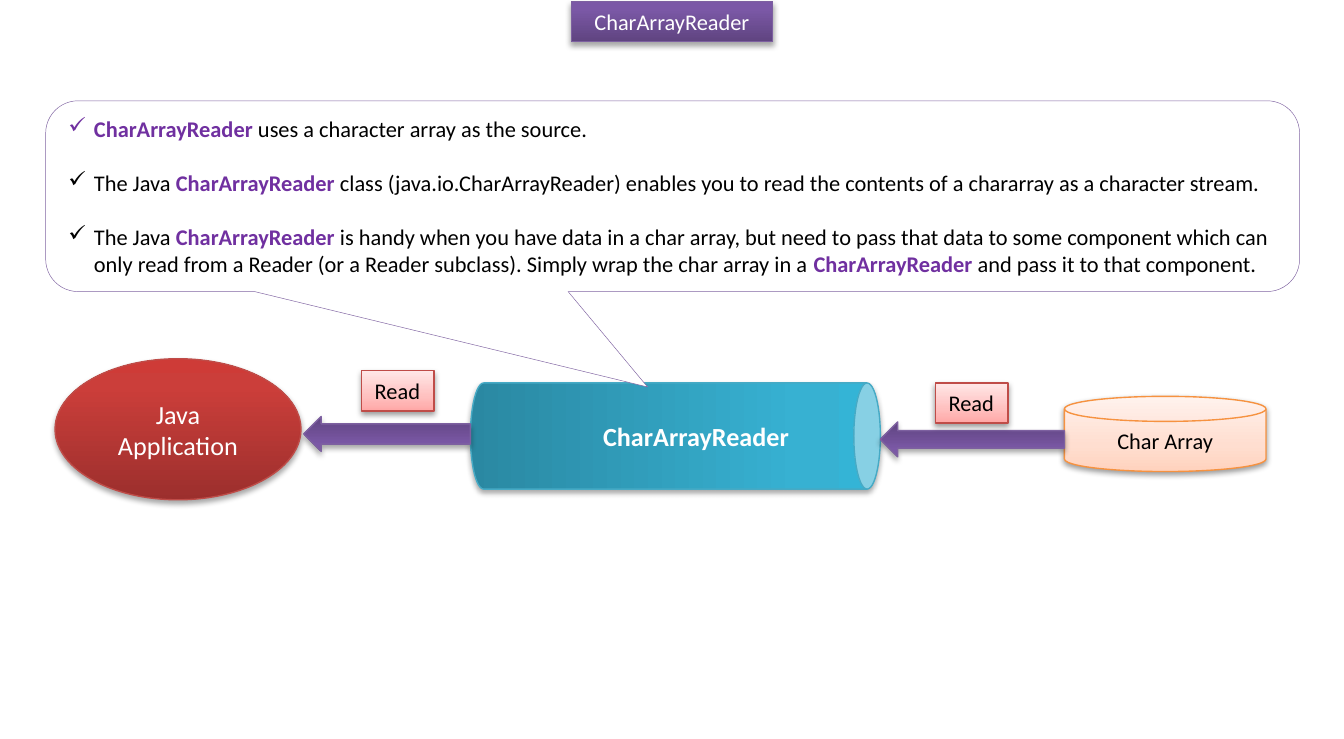
import pptx
import pptx.dml.color
import pptx.enum.shapes
import pptx.enum.text
import pptx.oxml.ns
import pptx.util
from lxml import etree

Inches = pptx.util.Inches
Pt = pptx.util.Pt
qn = pptx.oxml.ns.qn
SHAPE = pptx.enum.shapes.MSO_SHAPE
ALIGN = pptx.enum.text.PP_ALIGN
ANCHOR = pptx.enum.text.MSO_ANCHOR

# Looks: gradient stops (percent, colour), line colour, shadow opacity and distance
DEEP_SHADOW = {"opacity": 35, "distance": 1.8}
SOFT_SHADOW = {"opacity": 38, "distance": 1.6}
PURPLE = {"stops": [(0, "5F4480"), (80, "7B58A6"), (100, "7C57A8")],
          "line": "7D60A0", "shadow": DEEP_SHADOW}
RED = {"stops": [(0, "9C2F2D"), (80, "CB3E3A"), (100, "CE3B37")],
       "line": "BF4C48", "shadow": DEEP_SHADOW}
TEAL = {"stops": [(0, "2A88A2"), (80, "37B1D2"), (100, "34B4D6")],
        "line": "46AAC5", "shadow": DEEP_SHADOW}
ORANGE = {"stops": [(0, "FFD2BD"), (35, "FFDED0"), (100, "FFF2ED")],
          "line": "F69240", "shadow": SOFT_SHADOW}
PINK = {"stops": [(0, "FFA6A5"), (35, "FFC0BF"), (100, "FFE7E7")],
        "line": "BF4C48", "shadow": SOFT_SHADOW}

# Asterisk pairs mark the highlighted class name
NOTES = [
    "**CharArrayReader** uses a character array as the source.",
    "The Java **CharArrayReader** class (java.io.CharArrayReader) enables you to read "
    "the contents of a chararray as a character stream.",
    "The Java **CharArrayReader** is handy when you have data in a char array, but need "
    "to pass that data to some component which can only read from a Reader (or a Reader "
    "subclass). Simply wrap the char array in a **CharArrayReader** and pass it to that "
    "component.",
]


def color(value):
    return pptx.dml.color.RGBColor.from_string(value)


def assign(target, values):
    for name, value in values.items():
        setattr(target, name, value)


class Diagram:
    font = "Calibri"
    highlight = "7030A0"

    def __init__(self, slide):
        self.slide = slide

    def place(self, shape, box):
        names = ("left", "top", "width", "height")
        assign(shape, dict(zip(names, map(Inches, box))))

    def outline(self, shape, line, width=0.75):
        shape.line.color.rgb = color(line)
        shape.line.width = Pt(width)
        shape.shadow.inherit = False

    def decorate(self, shape, look):
        """Give a shape its gradient, outline and soft drop shadow."""
        shape.fill.gradient()
        shape.fill.gradient_angle = 90
        properties = shape._element.spPr
        stops = properties.find(".//" + qn("a:gsLst"))
        for stop in list(stops):
            stops.remove(stop)
        for percent, value in look["stops"]:
            stop = etree.SubElement(stops, qn("a:gs"), pos=str(percent * 1000))
            etree.SubElement(stop, qn("a:srgbClr"), val=value)
        self.outline(shape, look["line"])
        shadow = etree.SubElement(
            properties.find(qn("a:effectLst")), qn("a:outerShdw"),
            blurRad=str(Pt(3.1)), dist=str(Pt(look["shadow"]["distance"])),
            dir="5400000", rotWithShape="0")
        black = etree.SubElement(shadow, qn("a:srgbClr"), val="000000")
        etree.SubElement(black, qn("a:alpha"), val=str(look["shadow"]["opacity"] * 1000))

    def run(self, paragraph, text, size=12, ink="000000", bold=False):
        run = paragraph.add_run()
        run.text = text
        assign(run.font, {"name": self.font, "size": Pt(size), "bold": bold})
        run.font.color.rgb = color(ink)

    def label(self, shape, text, align=ALIGN.CENTER, anchor=ANCHOR.MIDDLE, wrap=True, **font):
        assign(shape.text_frame, {
            "word_wrap": wrap, "vertical_anchor": anchor,
            "auto_size": pptx.enum.text.MSO_AUTO_SIZE.NONE})
        paragraph = shape.text_frame.paragraphs[0]
        paragraph.alignment = align
        self.run(paragraph, text, **font)

    def title(self, text, box, look):
        shape = self.slide.shapes.title
        self.place(shape, box)
        self.decorate(shape, look)
        self.label(shape, text, anchor=ANCHOR.TOP, ink="FFFFFF")

    def block(self, kind, box, look, rotation=0):
        shape = self.slide.shapes.add_shape(kind, *map(Inches, box))
        shape.rotation = rotation
        self.decorate(shape, look)
        return shape

    def pipe(self, text, box, look):
        """A can lying on its side, with text that reads horizontally."""
        shape = self.block(SHAPE.CAN, box, look, rotation=90)
        self.label(shape, text, align=ALIGN.LEFT, size=14, ink="FFFFFF", bold=True)
        shape.text_frame._txBody.bodyPr.set("vert", "vert270")
        properties = shape.text_frame.paragraphs[0]._p.get_or_add_pPr()
        properties.set("marL", str(Inches(0.79)))

    def arrow(self, box, look, shaft=0.5):
        shape = self.block(SHAPE.RIGHT_ARROW, box, look, rotation=180)
        shape.adjustments[0] = shaft

    def callout(self, notes, box, adjustments):
        shape = self.slide.shapes.add_shape(
            SHAPE.ROUNDED_RECTANGULAR_CALLOUT, *map(Inches, box))
        for index, value in enumerate(adjustments):
            shape.adjustments[index] = value
        shape.fill.solid()
        shape.fill.fore_color.rgb = color("FFFFFF")
        self.outline(shape, "8064A2", 0.25)
        frame = shape.text_frame
        assign(frame, {"word_wrap": True, "vertical_anchor": ANCHOR.MIDDLE})
        for index, note in enumerate(notes):
            paragraph = frame.add_paragraph() if index else frame.paragraphs[0]
            self.bullet(paragraph)
            assign(paragraph, {"alignment": ALIGN.LEFT, "space_before": Pt(14.5 if index else 0)})
            for part, text in enumerate(note.split("**")):
                if text:
                    marked = part % 2 == 1
                    self.run(paragraph, text, bold=marked,
                             ink=self.highlight if marked else "000000")

    def bullet(self, paragraph):
        properties = paragraph._p.get_or_add_pPr()
        properties.set("marL", str(Inches(0.19)))
        properties.set("indent", str(Inches(-0.19)))
        etree.SubElement(properties, qn("a:buChar"), char="✓")


def main():
    presentation = pptx.Presentation()
    assign(presentation, {"slide_width": Inches(10), "slide_height": Inches(5.5)})
    title_only = presentation.slide_layouts[5]
    diagram = Diagram(presentation.slides.add_slide(title_only))

    # Heading
    diagram.title("CharArrayReader", (4.25, 0.01, 1.5, 0.3), PURPLE)

    # Application, reader and data source
    application = diagram.block(SHAPE.OVAL, (0.41, 2.67, 1.83, 1.05), RED)
    diagram.label(application, "Java Application", size=14, ink="FFFFFF")
    diagram.pipe("CharArrayReader", (4.63, 1.72, 0.79, 3.05), TEAL)
    source = diagram.block(SHAPE.FLOWCHART_MAGNETIC_DISK, (7.92, 2.95, 1.5, 0.56), ORANGE)
    diagram.label(source, "Char Array")

    # Data flow from right to left
    diagram.arrow((6.55, 3.14, 1.37, 0.26), PURPLE)
    diagram.arrow((2.26, 3.1, 1.24, 0.26), PURPLE, shaft=0.58)
    for left, top in ((6.96, 2.85), (2.69, 2.76)):
        tag = diagram.block(SHAPE.RECTANGLE, (left, top, 0.54, 0.3), PINK)
        diagram.label(tag, "Read", align=ALIGN.LEFT, anchor=ANCHOR.TOP, wrap=False)

    # Explanation pointing at the reader
    diagram.callout(NOTES, (0.34, 0.75, 9.33, 1.42), (-0.02, 1.0, 0.17))

    presentation.save("out.pptx")


if __name__ == "__main__":
    main()
